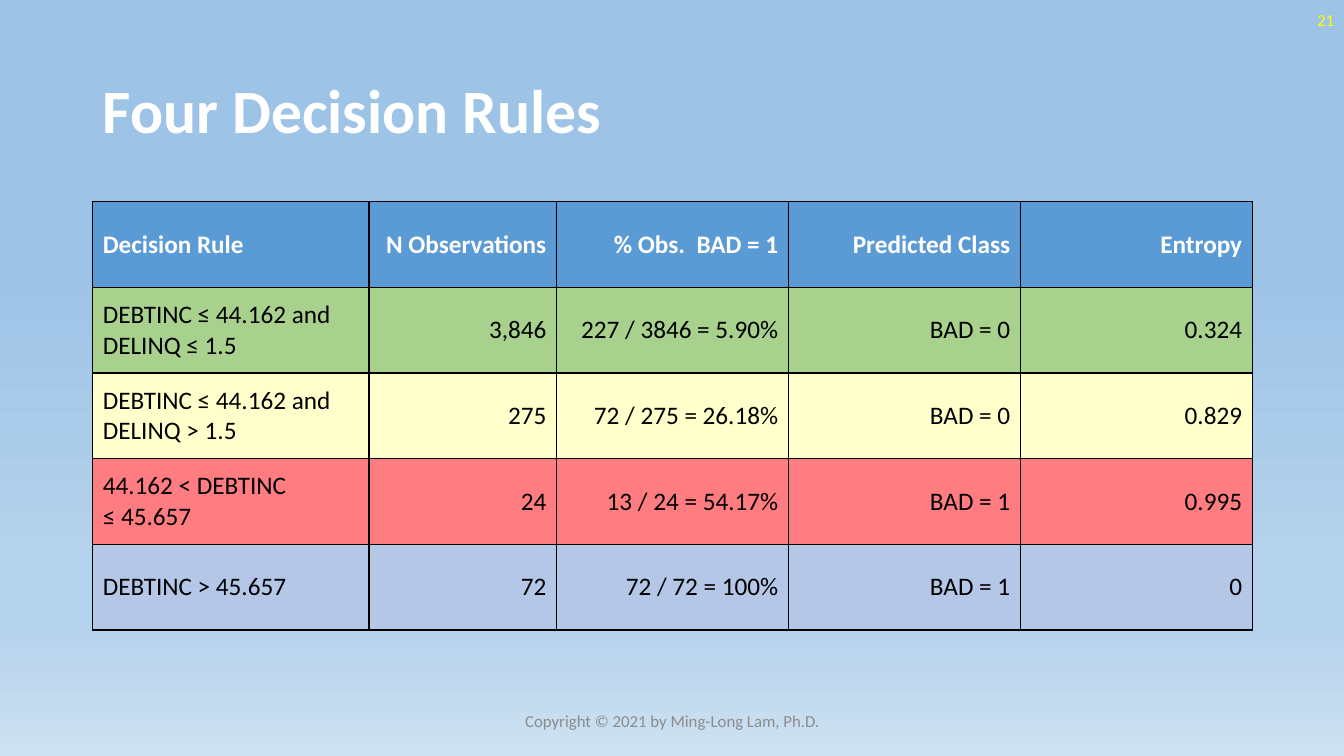
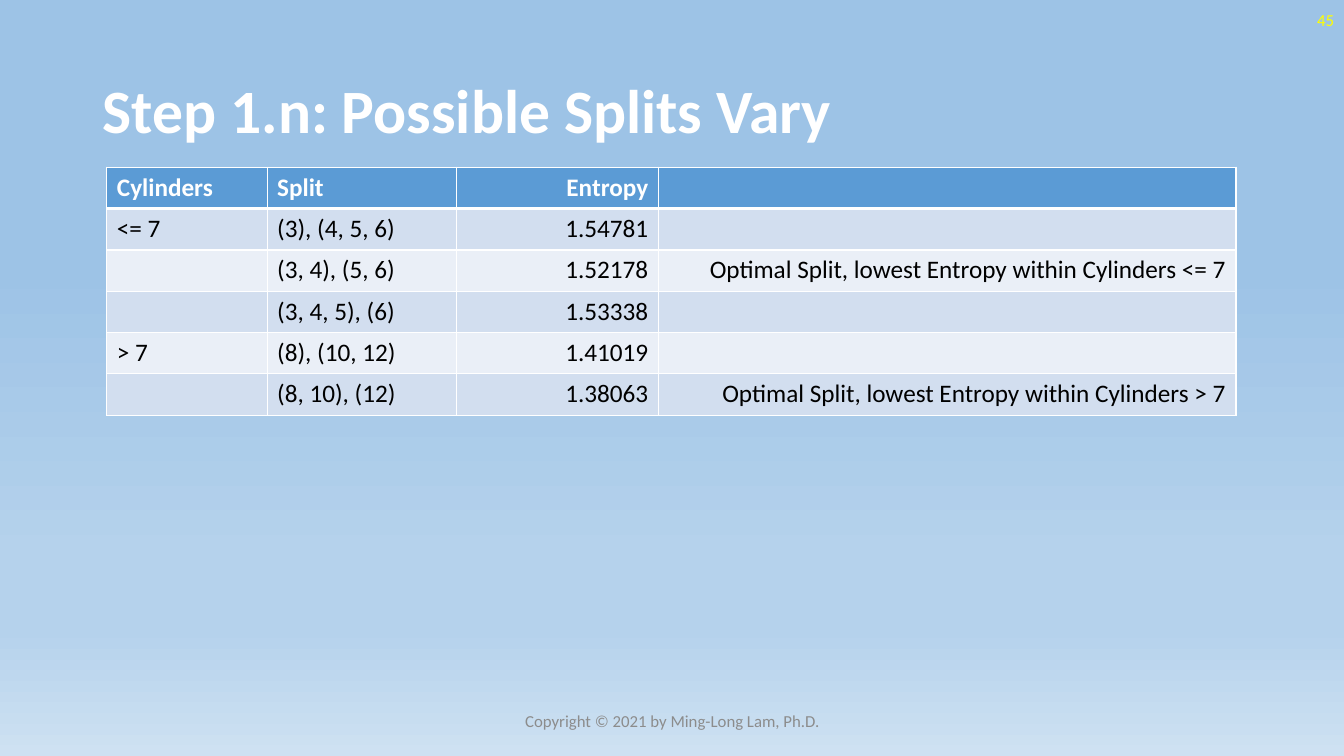
from lxml.etree import SubElement as Sub
from pptx import Presentation
from pptx.dml.color import RGBColor as Rgb
from pptx.enum.text import MSO_ANCHOR as Anchor, PP_ALIGN as Align
from pptx.oxml.ns import qn
from pptx.util import Inches, Pt

HUES = {
    "white": "FFFFFF", "black": "000000", "gray": "8C8C8C", "yellow": "FFFF00",
    "head": "5B9BD5", "green": "A9D18E", "cream": "FFFFCC", "red": "FF7C80",
    "blue": "B4C7E7", "dark": "D2DEEF", "light": "EAEFF7",
    "top": "9DC3E6", "mid": "B5D2EC", "low": "CEE1F2",
}
STOPS = [(35, "top"), (74, "mid"), (83, "mid"), (100, "low")]
FONTS = {
    "title": {"size": Pt(44), "bold": True, "name": "Calibri"},
    "head": {"size": Pt(18), "bold": True, "name": "Calibri"},
    "cell": {"size": Pt(18), "bold": False, "name": "Calibri"},
    "note": {"size": Pt(12), "name": "Calibri"},
}
NOTICE = "Copyright © 2021 by Ming-Long Lam, Ph.D."


class Deck:
    """Hold the shared style and the current slide."""

    def __init__(self):
        self.prs = Presentation()
        self.prs.slide_width = Inches(13.33)
        self.prs.slide_height = Inches(7.5)
        self.slide = None
        self.shade()

    def shade(self):
        master = self.prs.slide_master
        fill = master.background.fill
        fill.gradient()
        fill.gradient_angle = 270
        stops = master.element.find(".//" + qn("a:gsLst"))
        for old in list(stops):
            stops.remove(old)
        for pos, hue in STOPS:
            stop = Sub(stops, qn("a:gs"), pos=str(pos * 1000))
            Sub(stop, qn("a:srgbClr"), val=HUES[hue])

    def style(self, frame, kind, hue, align=Align.LEFT):
        for par in frame.paragraphs:
            par.alignment = align
            for key, value in FONTS[kind].items():
                setattr(par.font, key, value)
            par.font.color.rgb = Rgb.from_string(HUES[hue])

    def page(self, title, number):
        self.slide = self.prs.slides.add_slide(self.prs.slide_layouts[5])
        self.title(title)
        self.note(NOTICE, (4.42, 6.95, 4.5, 0.4), "gray", Align.CENTER)
        self.note(str(number), (10.33, 0, 3, 0.4), "yellow", Align.RIGHT)

    def title(self, text):
        shape = self.slide.shapes.title
        place = {"left": 0.92, "top": 0.4, "width": 11.5, "height": 1.45}
        for key, value in place.items():
            setattr(shape, key, Inches(value))
        frame = shape.text_frame
        frame.text = text
        frame.vertical_anchor = Anchor.MIDDLE
        frame.paragraphs[0].line_spacing = 0.9
        self.style(frame, "title", "white")

    def note(self, text, box, hue, align):
        frame = self.slide.shapes.add_textbox(*map(Inches, box)).text_frame
        frame.word_wrap = True
        frame.vertical_anchor = Anchor.MIDDLE
        frame.text = text
        self.style(frame, "note", hue, align)

    def edge(self, cell, hue, above=1, below=1):
        props = cell._tc.get_or_add_tcPr()
        for side, width in zip("LRTB", (1, 1, above, below)):
            line = Sub(props, qn("a:ln" + side), w=str(Pt(width)))
            Sub(Sub(line, qn("a:solidFill")), qn("a:srgbClr"), val=HUES[hue])

    def table(self, spot, cols, height, rows, fills, line, first, anchor, rule=1):
        size = (sum(cols), height * len(rows))
        grid = self.slide.shapes.add_table(
            len(rows), len(cols), *map(Inches, spot + size)).table
        for col, width in zip(grid.columns, cols):
            col.width = Inches(width)
        for i, (row, fill) in enumerate(zip(rows, fills)):
            grid.rows[i].height = Inches(height)
            kind, hue = ("cell", "black") if i else ("head", "white")
            for j, text in enumerate(row):
                cell = grid.cell(i, j)
                cell.text = text
                cell.vertical_anchor = anchor
                align = Align.RIGHT if j >= first else Align.LEFT
                self.style(cell.text_frame, kind, hue, align)
                self.edge(cell, line, rule if i == 1 else 1, 1 if i else rule)
                cell.fill.solid()
                cell.fill.fore_color.rgb = Rgb.from_string(HUES[fill])


def main():
    deck = Deck()
    deck.page("Four Decision Rules", 21)
    rules = [
        ("Decision Rule", "N Observations", "% Obs.  BAD = 1",
         "Predicted Class", "Entropy"),
        ("DEBTINC ≤ 44.162 and DELINQ ≤ 1.5", "3,846", "227 / 3846 = 5.90%",
         "BAD = 0", "0.324"),
        ("DEBTINC ≤ 44.162 and DELINQ > 1.5", "275", "72 / 275 = 26.18%",
         "BAD = 0", "0.829"),
        ("44.162 < DEBTINC\n≤ 45.657", "24", "13 / 24 = 54.17%",
         "BAD = 1", "0.995"),
        ("DEBTINC > 45.657", "72", "72 / 72 = 100%", "BAD = 1", "0"),
    ]
    deck.table((0.92, 2), (2.74, 1.86, 2.3, 2.3, 2.3), 0.85, rules,
               ("head", "green", "cream", "red", "blue"), "black",
               first=1, anchor=Anchor.MIDDLE)

    deck.page("Step 1.n: Possible Splits Vary", 45)
    best = "Optimal Split, lowest Entropy within Cylinders "
    splits = [
        ("Cylinders", "Split", "Entropy", ""),
        ("<= 7", "(3), (4, 5, 6)", "1.54781", ""),
        ("", "(3, 4), (5, 6)", "1.52178", best + "<= 7"),
        ("", "(3, 4, 5), (6)", "1.53338", ""),
        ("> 7", "(8), (10, 12)", "1.41019", ""),
        ("", "(8, 10), (12)", "1.38063", best + "> 7"),
    ]
    bands = ["head"] + ["dark", "light"] * 2 + ["dark"]
    deck.table((1.06, 1.66), (1.59, 1.88, 2, 5.73), 0.41, splits, bands,
               "white", first=2, anchor=Anchor.TOP, rule=3)
    deck.prs.save("out.pptx")


if __name__ == "__main__":
    main()
